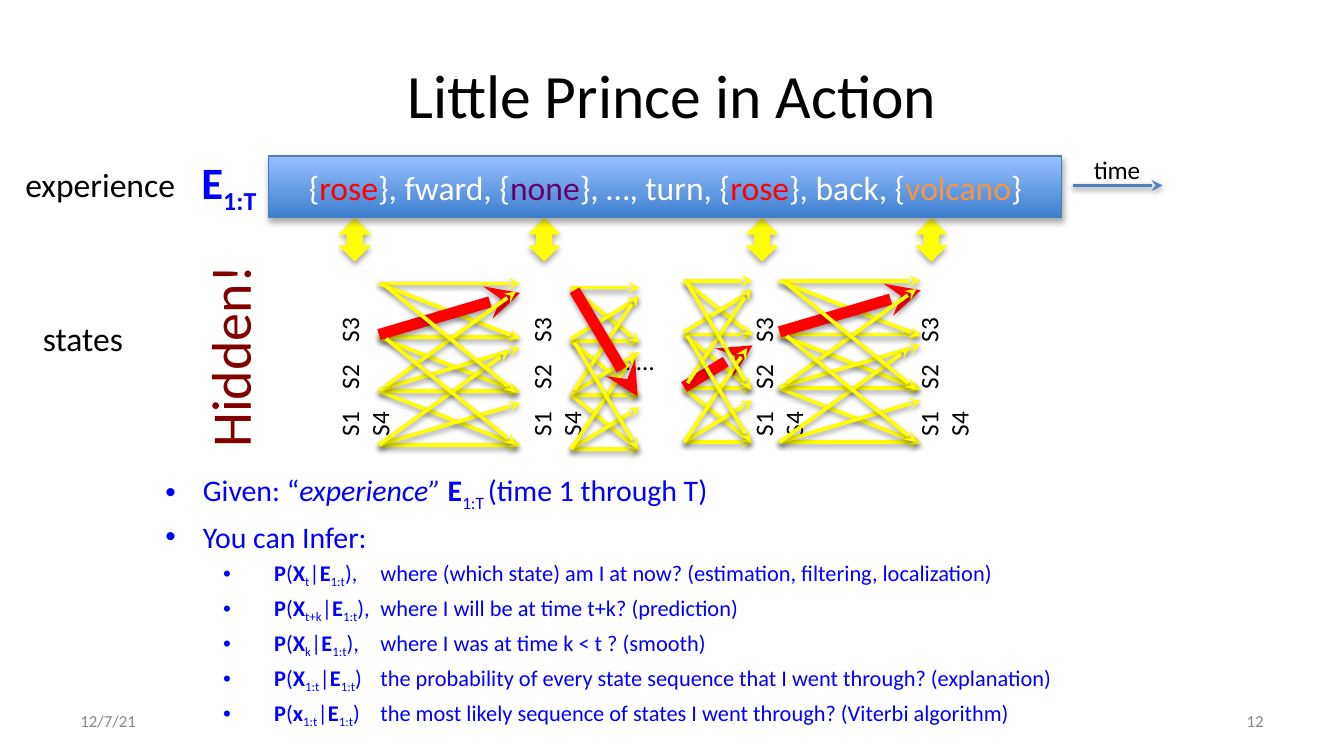
from dataclasses import dataclass

from lxml.etree import SubElement
from pptx import Presentation
from pptx.dml.color import RGBColor
from pptx.enum.shapes import MSO_CONNECTOR, MSO_SHAPE
from pptx.enum.text import MSO_ANCHOR, MSO_AUTO_SIZE, PP_ALIGN
from pptx.oxml.ns import qn
from pptx.util import Inches, Pt


@dataclass(frozen=True)
class Theme:
    font: str = "Calibri"
    ink: str = "000000"
    blue: str = "0000FF"
    grey: str = "888888"
    maroon: str = "800000"
    white: str = "FFFFFF"
    red: str = "FF0000"
    purple: str = "660066"
    orange: str = "F79646"
    yellow: str = "FFFF00"
    time_line: str = "4F81BD"
    bar_edge: str = "4A7DBA"
    bar_dark: str = "3E7FCD"
    bar_light: str = "96C0FF"
    title: float = 33
    hidden: float = 30
    symbol: float = 24
    label: float = 18
    topic: float = 16
    small: float = 13.5
    detail: float = 12
    footer: float = 9


THEME = Theme()
COLUMNS, ROWS = 100, 56.25
CELL = Inches(0.1)


def cells(*counts):
    return [round(count * CELL) for count in counts]


def rgb(color):
    return RGBColor.from_string(color)


class SlideBuilder:
    def __init__(self, deck, theme):
        self.theme = theme
        self.slide = deck.slides.add_slide(deck.slide_layouts[1])

    def set_font(self, para, size, color):
        para.font.name = self.theme.font
        para.font.size = Pt(size)
        para.font.color.rgb = rgb(color)

    def add_spans(self, para, pieces):
        for piece in pieces:
            text, style = (piece, "") if isinstance(piece, str) else piece
            span = para.add_run()
            span.text = text
            if "bold" in style:
                span.font.bold = True
            if "italic" in style:
                span.font.italic = True
            if "sub" in style:
                span.font._element.set("baseline", "-25000")
            if style in ("red", "purple", "orange"):
                span.font.color.rgb = rgb(getattr(self.theme, style))

    def add_tabs(self, para, stops):
        tabs = SubElement(para._p.get_or_add_pPr(), qn("a:tabLst"))
        for stop in stops:
            SubElement(tabs, qn("a:tab"), pos=str(Inches(stop)), algn="l")

    def add_shadow(self, shape, strength, distance):
        effects = SubElement(shape.element.spPr, qn("a:effectLst"))
        shadow = SubElement(effects, qn("a:outerShdw"), blurRad="40000",
                            dist=str(distance), dir="5400000", rotWithShape="0")
        color = SubElement(shadow, qn("a:srgbClr"), val=self.theme.ink)
        SubElement(color, qn("a:alpha"), val=str(strength * 1000))

    def place(self, shape, area):
        shape.left, shape.top, shape.width, shape.height = cells(*area)

    def title(self, text, area):
        box = self.slide.shapes.title
        self.place(box, area)
        box.text_frame.auto_size = MSO_AUTO_SIZE.NONE
        box.text_frame.text = text
        self.set_font(box.text_frame.paragraphs[0], self.theme.title, self.theme.ink)

    def bullets(self, items, area):
        box = self.slide.placeholders[1]
        self.place(box, area)
        frame = box.text_frame
        frame.auto_size = MSO_AUTO_SIZE.NONE
        for index, (level, pieces) in enumerate(items):
            para = frame.add_paragraph() if index else frame.paragraphs[0]
            para.level = level
            margin, hang = ((0.28, 0.28), (0.81, 0.38))[level]
            size = (self.theme.topic, self.theme.detail)[level]
            props = para._p.get_or_add_pPr()
            props.set("marL", str(Inches(margin)))
            props.set("indent", str(-Inches(hang)))
            color = SubElement(props, qn("a:buClr"))
            SubElement(color, qn("a:srgbClr"), val=self.theme.blue)
            SubElement(props, qn("a:buFont"), typeface="Arial")
            SubElement(props, qn("a:buChar"), char="•")
            if level:
                self.add_tabs(para, [1.6])
            para.space_before = Pt(size * 0.2 if index else 0)
            self.set_font(para, size, self.theme.blue)
            self.add_spans(para, pieces)

    def text(self, lines, area, size, color, turn=0, align=PP_ALIGN.LEFT,
             anchor=MSO_ANCHOR.TOP, tabs=()):
        box = self.slide.shapes.add_textbox(*cells(*area))
        box.rotation = turn
        frame = box.text_frame
        frame.word_wrap = True
        frame.vertical_anchor = anchor
        para = frame.paragraphs[0]
        para.alignment = align
        if tabs:
            self.add_tabs(para, tabs)
        self.set_font(para, size, color)
        for index, pieces in enumerate(lines):
            if index:
                para.add_line_break()
            self.add_spans(para, pieces)

    def arrow(self, shapes, start, end, color, weight):
        line = shapes.add_connector(MSO_CONNECTOR.STRAIGHT, *cells(*start, *end))
        line.line.color.rgb = rgb(color)
        line.line.width = Pt(weight)
        SubElement(line.element.spPr.find(qn("a:ln")), qn("a:tailEnd"), type="stealth")
        self.add_shadow(line, 38, 20000)

    def lattice(self, left, top, width, chosen):
        level, step_down, step_up = 4, 4.1, 3.1
        links = [(0, level * i, 1, level * i) for i in (1, 2, 3, 0)]
        links += [(0, level * i, 1, level * i + step_down) for i in range(3)]
        rises = [12 - step_down * i for i in range(3)]
        links += [(0, start, 1, start - step_up) for start in rises]
        links += [(0, 12, 0.92, 5), (0.05, 7.6, 0.97, 0.6),
                  (0.05, 4.1, 0.97, 12), (0.05, 0.2, 0.97, 8.1)]
        group = self.slide.shapes.add_group_shape()
        for index, (x1, y1, x2, y2) in enumerate(links):
            color, weight = (self.theme.red, 6) if index == chosen else (self.theme.yellow, 2)
            self.arrow(group.shapes, (left + x1 * width, top + y1),
                       (left + x2 * width, top + y2), color, weight)

    def shape(self, kind, area, edge):
        shape = self.slide.shapes.add_shape(kind, *cells(*area))
        shape.line.color.rgb = rgb(edge)
        shape.line.width = Pt(0.75)
        self.add_shadow(shape, 35, 23000)
        return shape

    def double_arrow(self, left):
        area = (left, 16.3, 2.2, 3.1)
        arrow = self.shape(MSO_SHAPE.UP_DOWN_ARROW, area, self.theme.yellow)
        arrow.fill.solid()
        arrow.fill.fore_color.rgb = rgb(self.theme.yellow)

    def bar(self, pieces, area):
        bar = self.shape(MSO_SHAPE.RECTANGLE, area, self.theme.bar_edge)
        bar.fill.gradient()
        bar.fill.gradient_angle = 90
        for stop, color in zip(bar.fill.gradient_stops,
                               (self.theme.bar_dark, self.theme.bar_light)):
            stop.color.rgb = rgb(color)
        para = bar.text_frame.paragraphs[0]
        para.alignment = PP_ALIGN.CENTER
        self.set_font(para, self.theme.label, self.theme.white)
        self.add_spans(para, pieces)


def query(variable, index, meaning):
    return 1, [("P", "bold"), "(", (variable, "bold"), (index, "sub"), "|",
               ("E", "bold"), ("1:t", "sub"), meaning]


def main():
    deck = Presentation()
    deck.slide_width, deck.slide_height = cells(COLUMNS, ROWS)
    page = SlideBuilder(deck, THEME)
    page.title("Little Prince in Action", (5, 2.3, 90, 9.4))
    page.bullets([
        (0, ["Given: “", ("experience” ", "italic"), ("E", "bold"), ("1:T ", "sub"),
             "(time 1 through T)"]),
        (0, ["You can Infer:"]),
        query("X", "t", "),\twhere (which state) am I at now? (estimation, filtering, localization)"),
        query("X", "t+k", "),\twhere I will be at time t+k? (prediction)"),
        query("X", "k", "),\twhere I was at time k < t ? (smooth)"),
        query("X", "1:t", ")\tthe probability of every state sequence that I went through? (explanation)"),
        query("x", "1:t", ")\tthe most likely sequence of states I went through? (Viterbi algorithm)"),
    ], (11.3, 34.6, 74.1, 19.2))
    for text, left, align in (("12/7/21", 5, PP_ALIGN.LEFT), ("12", 71.7, PP_ALIGN.RIGHT)):
        page.text([[text]], (left, 52.1, 23.3, 3), THEME.footer, THEME.grey,
                  align=align, anchor=MSO_ANCHOR.MIDDLE)
    for left in (19.6, 33.9, 50.4, 62.7):
        page.text([["S1\tS2\tS3"], ["S4"]], (left, 24.4, 13.8, 4.3), THEME.small,
                  THEME.ink, turn=270, tabs=(0.35, 0.7))
    page.text([["……"]], (45.1, 25.2, 4.8, 3.3), THEME.small, THEME.ink)
    for left, top, width, chosen in ((28.2, 21.1, 10.5, 9), (58, 20.9, 10.5, 9),
                                     (42.5, 21.4, 5.1, 13), (50.9, 20.9, 5.1, 8)):
        page.lattice(left, top, width, chosen)
    for left in (25.3, 39.4, 55.6, 68.2):
        page.double_arrow(left)
    page.bar(["{", ("rose", "red"), "}, fward, {", ("none", "purple"), "}, …, turn, {",
              ("rose", "red"), "}, back, {", ("volcano", "orange"), "}"],
             (20, 11.6, 59, 4.6))
    page.text([["Hidden!"]], (9.2, 23.4, 15.7, 6.1), THEME.hidden, THEME.maroon, turn=270)
    page.text([[("E", "bold"), ("1:T", "bold sub")]], (14, 11, 6.5, 5), THEME.symbol, THEME.blue)
    page.arrow(page.slide.shapes, (79.8, 13.8), (86.5, 13.8), THEME.time_line, 2)
    page.text([["time"]], (80.4, 11, 5.7, 3.3), THEME.small, THEME.ink)
    page.text([["experience"]], (0.9, 11.7, 13.3, 4), THEME.label, THEME.ink)
    page.text([["states"]], (2.2, 23.2, 8.2, 4), THEME.label, THEME.ink)
    deck.save("out.pptx")


if __name__ == "__main__":
    main()
